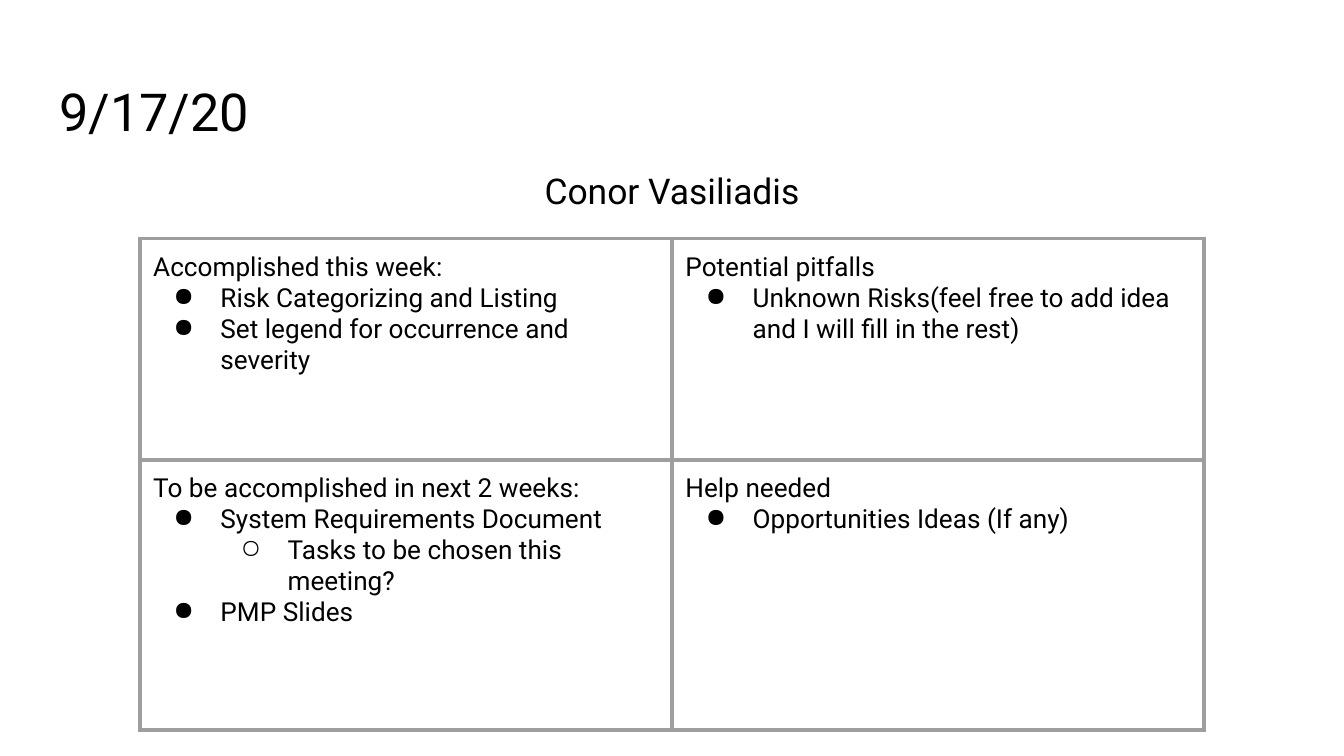
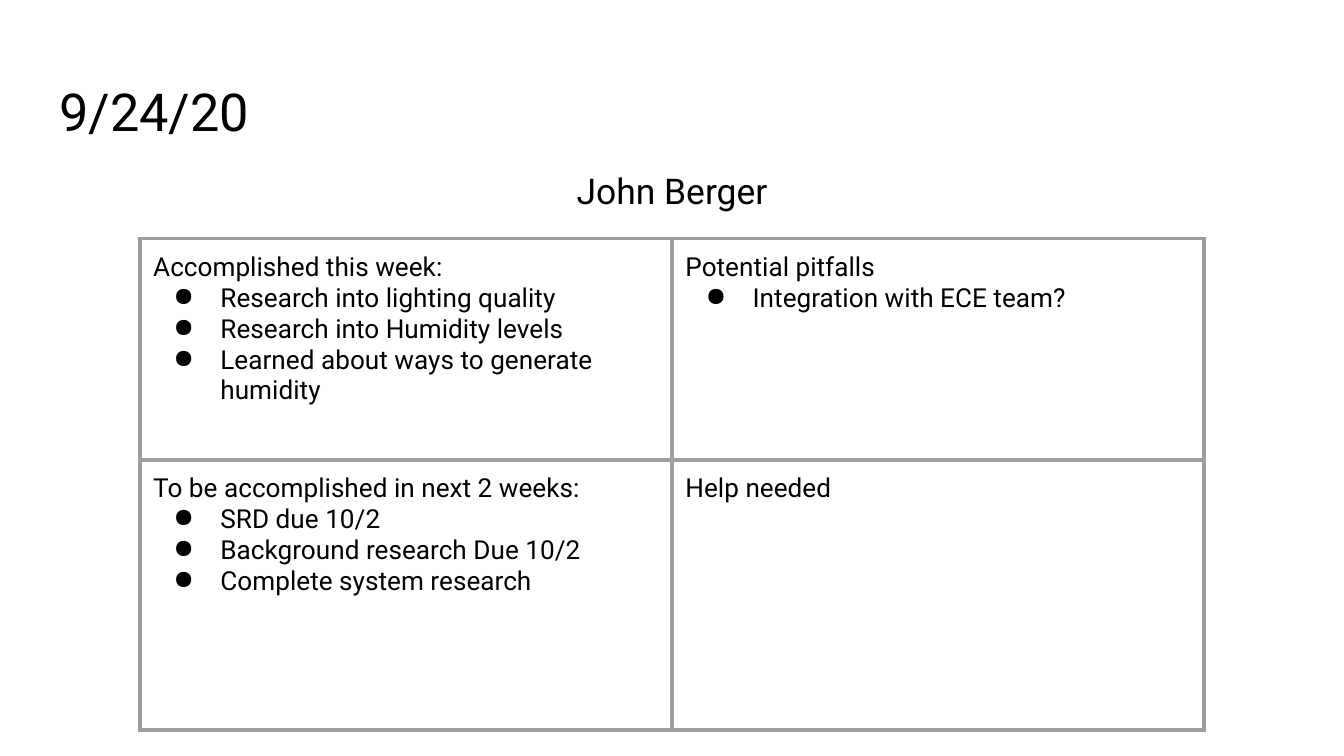
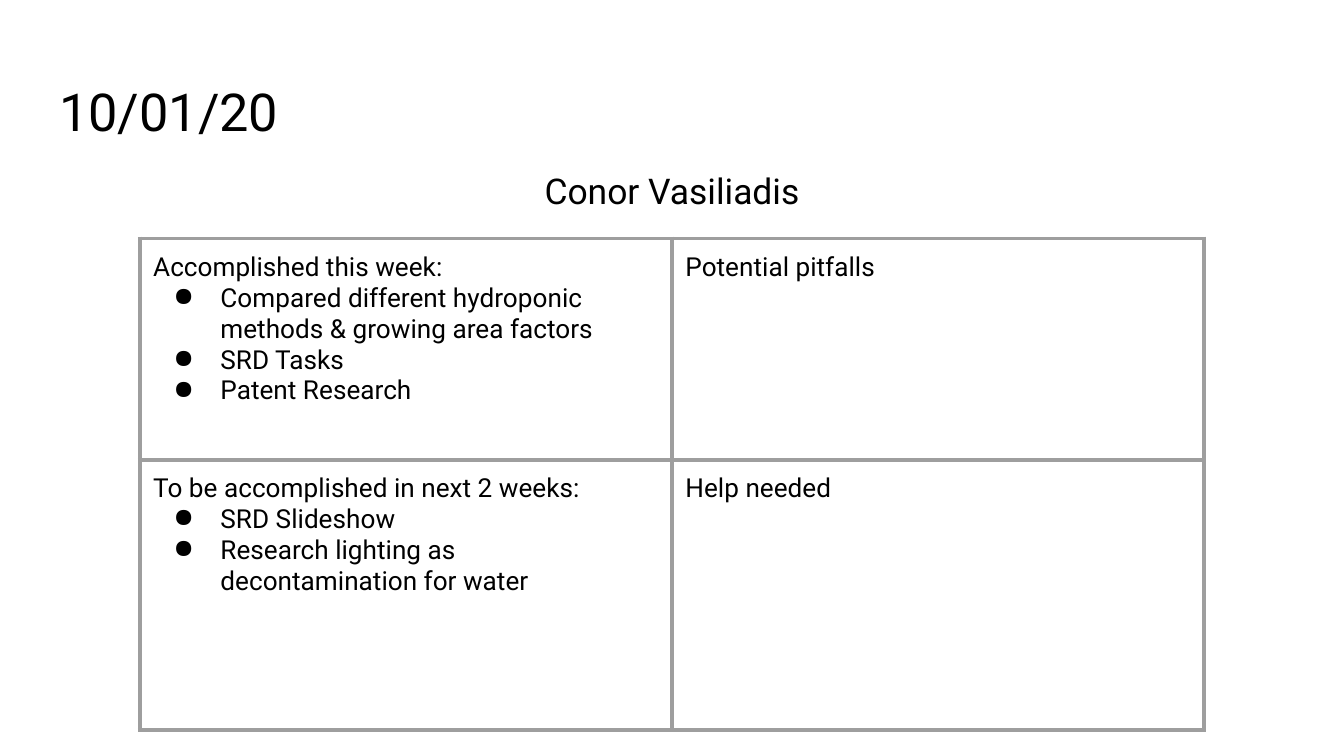
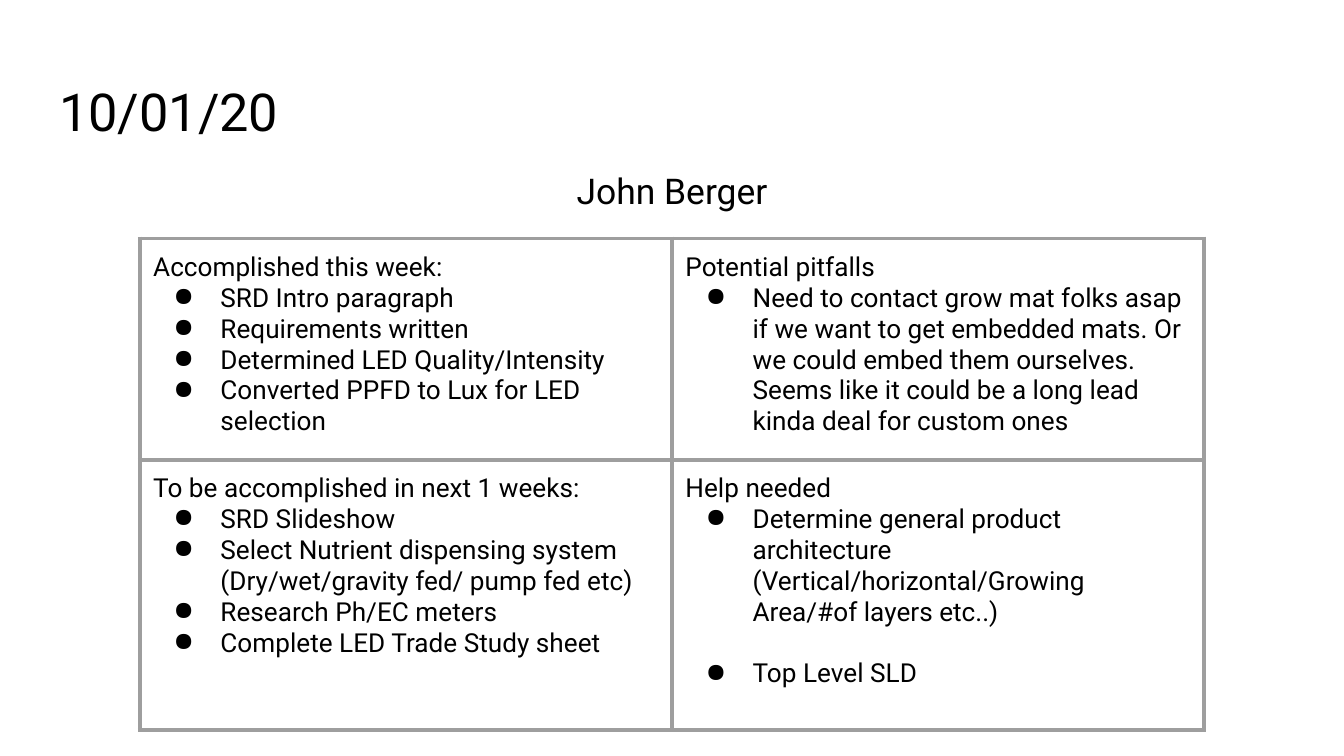
from dataclasses import dataclass

from lxml.etree import SubElement
from pptx import Presentation
from pptx.dml.color import RGBColor
from pptx.enum.text import MSO_ANCHOR, MSO_AUTO_SIZE, PP_ALIGN
from pptx.oxml.ns import qn
from pptx.util import Inches, Pt

SLIDE_WIDTH = Inches(10)
SLIDE_HEIGHT = SLIDE_WIDTH * 9 // 16
FONT, TEXT_COLOR, BORDER_COLOR = "Roboto", "000000", "9E9E9E"
BORDER_WIDTH = Pt(2.25)
INSET = Inches(0.1)
HANGING_INDENT = Inches(0.35)
LEVEL_INDENT = Inches(0.5)
BULLETS = "●○"
TITLE_ONLY_LAYOUT = 5


@dataclass(frozen=True)
class Area:
    """A rectangle in percent of the slide's width and height."""
    left: float
    top: float
    width: float
    height: float

    def lengths(self) -> tuple[int, int, int, int]:
        return (
            round(SLIDE_WIDTH * self.left / 100),
            round(SLIDE_HEIGHT * self.top / 100),
            round(SLIDE_WIDTH * self.width / 100),
            round(SLIDE_HEIGHT * self.height / 100),
        )


TITLE_AREA = Area(3.4, 8.7, 93.2, 11.15)
NAME_AREA = Area(3.4, 19.75, 93.2, 66.45)
TABLE_AREA = Area(10.4, 31.55, 79.2, 65.05)
ROW_SHARES = (0.45, 0.55)


@dataclass(frozen=True)
class Item:
    text: str
    level: int = 0
    bulleted: bool = True
    space_before: float = 0


@dataclass(frozen=True)
class Report:
    date: str
    member: str
    accomplished: tuple[Item, ...]
    planned: tuple[Item, ...]
    pitfalls: tuple[Item, ...] = ()
    help_needed: tuple[Item, ...] = ()
    weeks_ahead: int = 2

    def quadrants(self) -> list[list[tuple[str, tuple[Item, ...]]]]:
        plan_heading = f"To be accomplished in next {self.weeks_ahead} weeks:"
        return [
            [("Accomplished this week:", self.accomplished),
             ("Potential pitfalls", self.pitfalls)],
            [(plan_heading, self.planned),
             ("Help needed", self.help_needed)],
        ]


def items(*texts: str) -> tuple[Item, ...]:
    return tuple(Item(text) for text in texts)


REPORTS = (
    Report(
        "9/17/20", "Conor Vasiliadis",
        accomplished=items("Risk Categorizing and Listing",
                           "Set legend for occurrence and severity"),
        pitfalls=items("Unknown Risks(feel free to add idea and I will fill in the rest)"),
        planned=(Item("System Requirements Document"),
                 Item("Tasks to be chosen this meeting?", level=1),
                 Item("PMP Slides")),
        help_needed=items("Opportunities Ideas (If any)"),
    ),
    Report(
        "9/24/20", "John Berger",
        accomplished=items("Research into lighting quality",
                           "Research into Humidity levels",
                           "Learned about ways to generate humidity"),
        pitfalls=items("Integration with ECE team?"),
        planned=items("SRD due 10/2", "Background research Due 10/2",
                      "Complete system research"),
    ),
    Report(
        "10/01/20", "Conor Vasiliadis",
        accomplished=items("Compared different hydroponic methods & growing area factors",
                           "SRD Tasks", "Patent Research"),
        planned=items("SRD Slideshow",
                      "Research lighting as decontamination for water"),
    ),
    Report(
        "10/01/20", "John Berger",
        accomplished=items("SRD Intro paragraph", "Requirements written",
                           "Determined LED Quality/Intensity",
                           "Converted PPFD to Lux for LED selection"),
        pitfalls=items("Need to contact grow mat folks asap if we want to get embedded "
                       "mats. Or we could embed them ourselves. Seems like it could be "
                       "a long lead kinda deal for custom ones"),
        planned=items("SRD Slideshow",
                      "Select Nutrient dispensing system (Dry/wet/gravity fed/ pump fed etc)",
                      "Research Ph/EC meters", "Complete LED Trade Study sheet"),
        help_needed=(Item("Determine general product architecture"),
                     Item("(Vertical/horizontal/Growing Area/#of layers etc..)",
                          bulleted=False),
                     Item("Top Level SLD", space_before=16.5)),
        weeks_ahead=1,
    ),
)


def color(hex_code: str) -> RGBColor:
    return RGBColor.from_string(hex_code)


def write(paragraph, text: str, size: float, alignment=PP_ALIGN.LEFT) -> None:
    paragraph.text = text
    paragraph.alignment = alignment
    for span in paragraph.runs:
        span.font.name = FONT
        span.font.size = Pt(size)
        span.font.color.rgb = color(TEXT_COLOR)


def write_box(box, area: Area, text: str, size: float, alignment=PP_ALIGN.LEFT):
    """Place a title or text box and return its only paragraph."""
    box.left, box.top, box.width, box.height = area.lengths()
    frame = box.text_frame
    frame.word_wrap = True
    frame.auto_size = MSO_AUTO_SIZE.NONE
    frame.vertical_anchor = MSO_ANCHOR.TOP
    frame.margin_left = frame.margin_right = INSET
    frame.margin_top = frame.margin_bottom = INSET
    write(frame.paragraphs[0], text, size, alignment)
    return frame.paragraphs[0]


def indent(paragraph, item: Item) -> None:
    properties = paragraph._p.get_or_add_pPr()
    properties.set("lvl", str(item.level))
    properties.set("marL", str(LEVEL_INDENT * (item.level + 1)))
    properties.set("indent", str(-HANGING_INDENT if item.bulleted else 0))
    if item.bulleted:
        bullet_color = SubElement(properties, qn("a:buClr"))
        SubElement(bullet_color, qn("a:srgbClr"), val=TEXT_COLOR)
        SubElement(properties, qn("a:buChar"), char=BULLETS[item.level])


def add_borders(cell) -> None:
    properties = cell._tc.get_or_add_tcPr()
    for side in ("lnL", "lnR", "lnT", "lnB"):
        line = SubElement(properties, qn(f"a:{side}"), w=str(BORDER_WIDTH))
        fill = SubElement(line, qn("a:solidFill"))
        SubElement(fill, qn("a:srgbClr"), val=BORDER_COLOR)


def fill_cell(cell, heading: str, entries: tuple[Item, ...]) -> None:
    add_borders(cell)
    cell.fill.background()
    cell.margin_left = cell.margin_right = INSET
    cell.margin_top = cell.margin_bottom = INSET
    frame = cell.text_frame
    write(frame.paragraphs[0], heading, 14)
    for item in entries:
        paragraph = frame.add_paragraph()
        if item.space_before:
            paragraph.space_before = Pt(item.space_before)
        indent(paragraph, item)
        write(paragraph, item.text, 14)


def add_quadrant_table(slide, report: Report) -> None:
    left, top, width, height = TABLE_AREA.lengths()
    table = slide.shapes.add_table(2, 2, left, top, width, height).table
    table.first_row = table.horz_banding = False
    for row, share in zip(table.rows, ROW_SHARES):
        row.height = round(height * share)
    for row, quadrants in zip(table.rows, report.quadrants()):
        for cell, (heading, entries) in zip(row.cells, quadrants):
            fill_cell(cell, heading, entries)


def add_report(deck, report: Report) -> None:
    slide = deck.slides.add_slide(deck.slide_layouts[TITLE_ONLY_LAYOUT])
    slide.background.fill.solid()
    slide.background.fill.fore_color.rgb = color("FFFFFF")
    write_box(slide.shapes.title, TITLE_AREA, report.date, 28)
    name_box = slide.shapes.add_textbox(*NAME_AREA.lengths())
    name = write_box(name_box, NAME_AREA, report.member, 19, PP_ALIGN.CENTER)
    name.line_spacing = 1.15
    name.space_after = Pt(16)
    add_quadrant_table(slide, report)


def main() -> None:
    deck = Presentation()
    deck.slide_width, deck.slide_height = SLIDE_WIDTH, SLIDE_HEIGHT
    for report in REPORTS:
        add_report(deck, report)
    deck.save("out.pptx")


if __name__ == "__main__":
    main()
